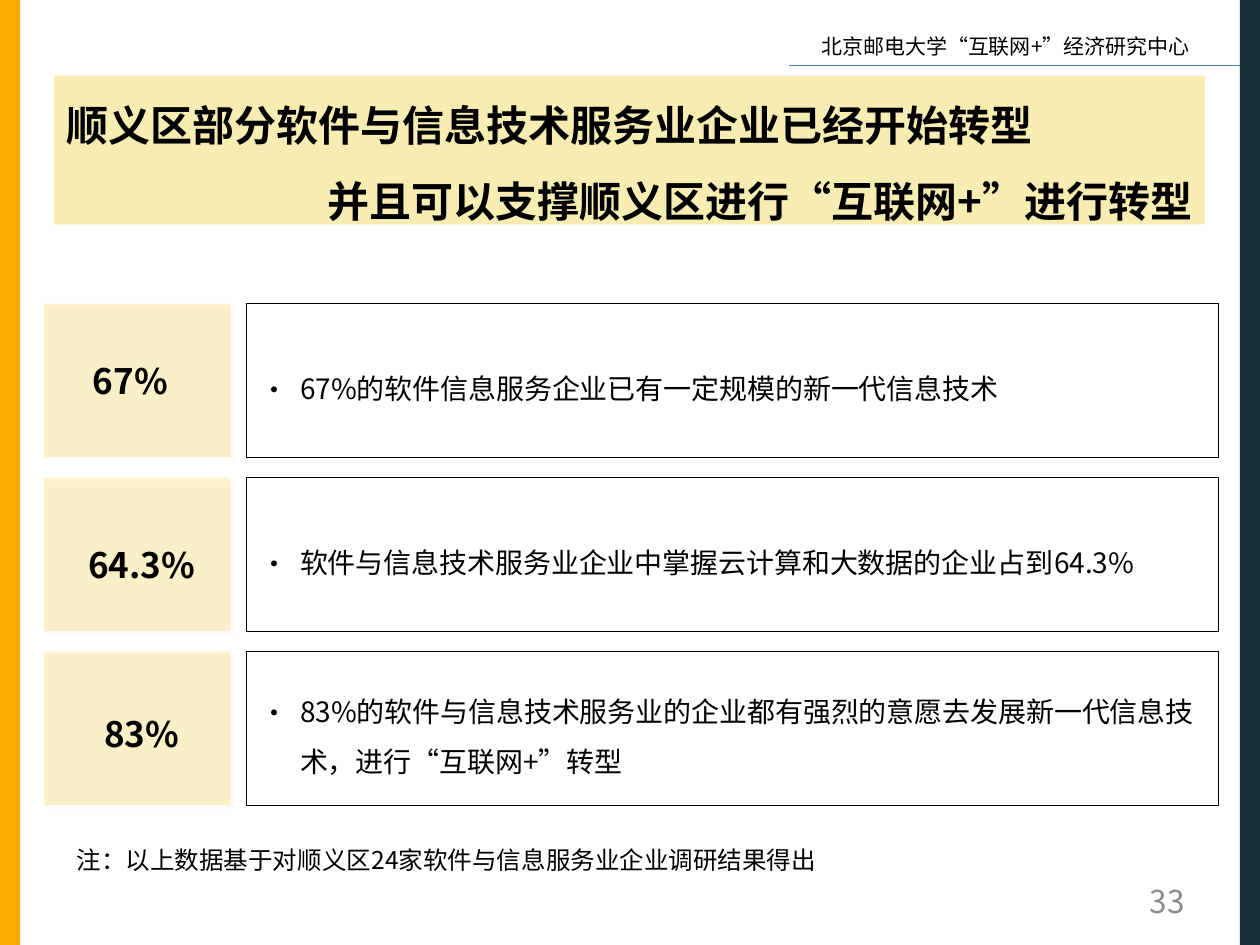
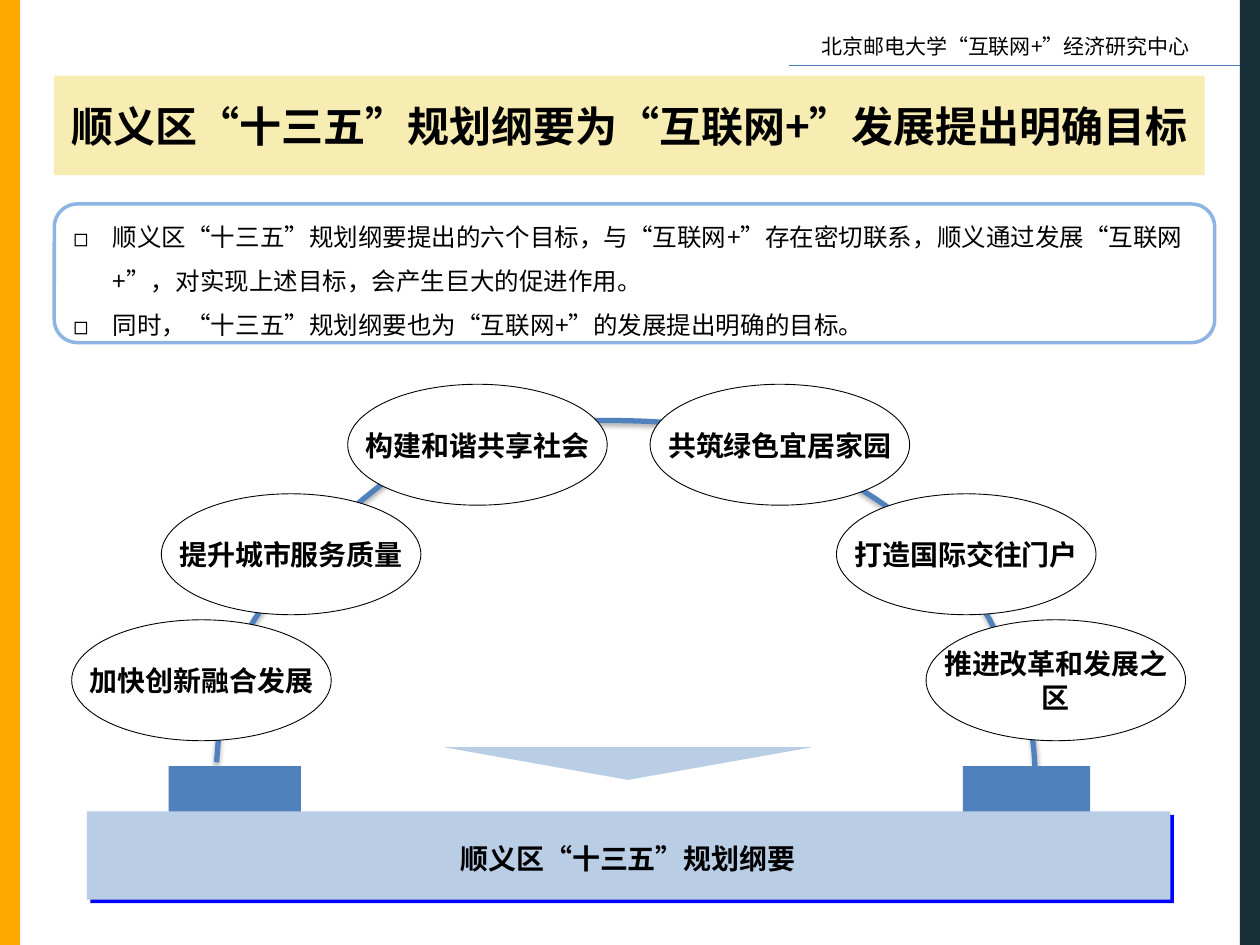
from dataclasses import dataclass
from typing import NamedTuple

from lxml.etree import SubElement
from pptx import Presentation
from pptx.dml.color import RGBColor
from pptx.enum.lang import MSO_LANGUAGE_ID
from pptx.enum.shapes import MSO_CONNECTOR, MSO_SHAPE
from pptx.enum.text import MSO_ANCHOR, PP_ALIGN
from pptx.oxml.ns import qn
from pptx.util import Pt


@dataclass(frozen=True)
class Theme:
    """Colours, face and type sizes of the deck."""
    face: str = "Noto Sans CJK SC"
    ink: str = "000000"
    white: str = "FFFFFF"
    amber: str = "FFAA00"
    dark: str = "172F37"
    rule: str = "4B7EBC"
    grey: str = "8C8C8C"
    title: str = "E9CD23"
    tile: str = "FFC000"
    blue: str = "4F81BD"
    pale: str = "B9CDE5"
    frame: str = "8EB4E3"
    head: int = 24
    figure: int = 20
    page: int = 18
    body: int = 16
    note: int = 14
    small: int = 12


class Box(NamedTuple):
    """Left, top, width and height in points."""
    left: float
    top: float
    width: float
    height: float


class Shade(NamedTuple):
    """Outer shadow: colour, percent, blur, distance and degrees."""
    color: str
    alpha: int
    blur: float
    dist: float
    angle: int


class Style(NamedTuple):
    """How a block of text is set."""
    size: int
    bold: bool = False
    color: str = Theme.ink
    align: PP_ALIGN = PP_ALIGN.LEFT
    space: float = 1.0
    bullet: str = ""


class Look(NamedTuple):
    """How a shape is filled, lined and shaded."""
    fill: str = ""
    alpha: int = 100
    line: str = ""
    width: float = 0.5
    shade: Shade | None = None


class Row(NamedTuple):
    """One finding with its figure and the place of that figure."""
    figure: str
    left: float
    top: float
    text: str


class Goal(NamedTuple):
    """A left goal and its mirrored right goal."""
    left: float
    top: float
    west: str
    east: str


T = Theme()
MID = PP_ALIGN.CENTER
HEAD = Style(T.head, True, align=MID)
LABEL = Style(T.body, True, align=MID)
FIGURE = Style(T.figure, True, align=MID)
POINT = Style(T.body, space=1.5, bullet="•")
LIST = Style(T.note, space=1.5, bullet="◻")
BAR = Look(T.title, 35)
GLOW = Shade("EEECE1", 100, 0, 2.8, 45)
DROP = Shade("0000FF", 100, 0, 2.8, 45)
SOFT = Shade("000000", 35, 3.1, 1.8, 90)

ROWS = [
    Row("67%", 36, 210.2, "67%的软件信息服务企业已有一定规模的新一代信息技术"),
    Row("64.3%", 42.5, 315.4, "软件与信息技术服务业企业中掌握云计算和大数据的企业占到64.3%"),
    Row("83%", 42.5, 411.8,
        "83%的软件与信息技术服务业的企业都有强烈的意愿去发展新一代信息技术，进行“互联网+”转型"),
]
GOALS = [
    Goal(41, 354.2, "加快创新融合发展", "推进改革和发展之区"),
    Goal(92.2, 282.2, "提升城市服务质量", "打造国际交往门户"),
    Goal(198.7, 219.6, "构建和谐共享社会", "共筑绿色宜居家园"),
]
ARC = [
    (123.8, 435.6), (126, 405.4), (128.9, 375.8), (151.2, 345.6),
    (174.2, 314.6), (216, 270), (259.2, 252.7), (303.1, 236.2),
    (373, 239), (413.3, 244.8), (452.9, 249.8), (476.6, 270),
    (500.4, 285.1), (524.2, 301), (541.4, 318.2), (555.8, 338.4),
    (570.2, 357.8), (579.6, 386.6), (586.1, 403.9), (591.8, 421.9),
    (591.1, 439.2), (591.8, 445), (592.6, 450.7), (591.1, 445.7),
    (589.7, 439.9),
]


def apply(target: object, **values: object) -> None:
    """Set each named value on the target."""
    for name, value in values.items():
        setattr(target, name, value)


def cast(shape, shade: Shade) -> None:
    """Give the shape an outer shadow."""
    effect = shape._element.spPr.find(qn("a:effectLst"))
    outer = SubElement(effect, qn("a:outerShdw"), blurRad=str(Pt(shade.blur)),
                       dist=str(Pt(shade.dist)), dir=str(shade.angle * 60000),
                       algn="ctr", rotWithShape="0")
    color = SubElement(outer, qn("a:srgbClr"), val=shade.color)
    SubElement(color, qn("a:alpha"), val=str(shade.alpha * 1000))


def paint(shape, look: Look) -> None:
    """Apply fill, line and shadow to a shape."""
    shape.shadow.inherit = False
    if look.fill:
        shape.fill.solid()
        shape.fill.fore_color.rgb = RGBColor.from_string(look.fill)
        if look.alpha < 100:
            color = shape._element.spPr.find(qn("a:solidFill"))[0]
            SubElement(color, qn("a:alpha"), val=str(look.alpha * 1000))
    else:
        shape.fill.background()
    if look.line:
        shape.line.color.rgb = RGBColor.from_string(look.line)
        shape.line.width = Pt(look.width)
    else:
        shape.line.fill.background()
    if look.shade:
        cast(shape, look.shade)


def draw(slide, box: Box, look: Look, kind=MSO_SHAPE.RECTANGLE):
    """Add a painted preset shape."""
    shape = slide.shapes.add_shape(kind, *map(Pt, box))
    paint(shape, look)
    return shape


def write(shape, style: Style, *lines: str, anchor=MSO_ANCHOR.MIDDLE) -> None:
    """Fill a shape with one paragraph for each line."""
    frame = shape.text_frame
    apply(frame, word_wrap=True, vertical_anchor=anchor)
    for index, line in enumerate(lines):
        para = frame.add_paragraph() if index else frame.paragraphs[0]
        apply(para, alignment=style.align, line_spacing=style.space)
        if style.bullet:
            props = para._p.get_or_add_pPr()
            apply_indent = {"marL": str(Pt(22.5)), "indent": str(-Pt(22.5))}
            props.attrib.update(apply_indent)
            SubElement(props, qn("a:buFont"), typeface=T.face)
            SubElement(props, qn("a:buChar"), char=style.bullet)
        run = para.add_run()
        run.text = line
        apply(run.font, size=Pt(style.size), bold=style.bold, name=T.face,
              language_id=MSO_LANGUAGE_ID.SIMPLIFIED_CHINESE)
        run.font.color.rgb = RGBColor.from_string(style.color)
        SubElement(run._r.rPr, qn("a:ea"), typeface=T.face)


def label(slide, box: Box, style: Style, text: str, tight: bool = True,
          anchor=MSO_ANCHOR.MIDDLE) -> None:
    """Add a text box, without margins when tight."""
    area = slide.shapes.add_textbox(*map(Pt, box))
    if tight:
        apply(area.text_frame, margin_left=0, margin_right=0,
              margin_top=0, margin_bottom=0)
    write(area, style, text, anchor=anchor)


def start(deck):
    """Add a slide with the shared bands and header."""
    slide = deck.slides.add_slide(deck.slide_layouts[6])
    for left, color in ((0, T.amber), (708.5, T.dark)):
        draw(slide, Box(left, 0, 11.5, 540), Look(color))
    label(slide, Box(462.2, 15.8, 236, 21.6), Style(T.small),
          "北京邮电大学“互联网+”经济研究中心", False, MSO_ANCHOR.TOP)
    rule = slide.shapes.add_connector(MSO_CONNECTOR.STRAIGHT, Pt(450.7),
                                      Pt(37.4), Pt(708.5), Pt(37.4))
    rule.line.color.rgb = RGBColor.from_string(T.rule)
    rule.line.width = Pt(0.75)
    SubElement(rule._element.spPr, qn("a:effectLst"))
    return slide


def banner(slide, height: float):
    """Add the title band."""
    return draw(slide, Box(31, 43.2, 657.4, height), BAR)


def findings(deck) -> None:
    """Build the slide of survey figures."""
    slide = start(deck)
    label(slide, Box(516.2, 500.4, 167.8, 28.8),
          Style(T.page, color=T.grey, align=PP_ALIGN.RIGHT), "33", False)
    for index, row in enumerate(ROWS):
        top = 173.5 + index * 99.4
        draw(slide, Box(25.2, top, 106.6, 87.8), Look(T.tile, 20, shade=GLOW))
        draw(slide, Box(141.1, top, 555.1, 87.8), Look(line=T.ink))
        label(slide, Box(row.left, row.top, 77, 14.4), FIGURE, row.figure)
        label(slide, Box(149, top + 35.5, 540, 16.6), POINT, row.text)
    title = banner(slide, 85)
    write(title, HEAD._replace(align=PP_ALIGN.LEFT, space=1.5),
          "顺义区部分软件与信息技术服务业企业已经开始转型",
          "并且可以支撑顺义区进行“互联网+”进行转型")
    title.text_frame.paragraphs[1].alignment = PP_ALIGN.RIGHT
    label(slide, Box(36.7, 479.5, 538.6, 24.5), Style(T.note),
          "注：以上数据基于对顺义区24家软件与信息服务业企业调研结果得出",
          False, MSO_ANCHOR.TOP)


def curve(knots: list, steps: int = 12) -> list:
    """Sample a chain of cubic curves as points."""
    points = [knots[0]]
    for index in range(0, len(knots) - 1, 3):
        group = knots[index:index + 4]
        for step in range(1, steps + 1):
            t = step / steps
            parts = ((1 - t) ** 3, 3 * t * (1 - t) ** 2, 3 * t * t * (1 - t), t ** 3)
            points.append(tuple(sum(part * knot[axis] for part, knot in zip(parts, group))
                                for axis in (0, 1)))
    return [(Pt(x), Pt(y)) for x, y in points]


def goals(deck) -> None:
    """Build the slide of six goals."""
    slide = start(deck)
    write(banner(slide, 56.9), HEAD, "顺义区“十三五”规划纲要为“互联网+”发展提出明确目标")
    first, *rest = curve(ARC)
    maker = slide.shapes.build_freeform(*first)
    maker.add_line_segments(rest, close=False)
    paint(maker.convert_to_shape(), Look(line=T.blue, width=3, shade=SOFT))
    arrow = draw(slide, Box(253.4, 427, 211, 18.7), Look(T.pale),
                 MSO_SHAPE.ISOSCELES_TRIANGLE)
    arrow._element.spPr.xfrm.set("flipV", "1")
    for goal in GOALS:
        for left, text in ((goal.left, goal.west), (570.2 - goal.left, goal.east)):
            draw(slide, Box(left, goal.top, 148.3, 69.1),
                 Look(T.white, line=T.ink), MSO_SHAPE.OVAL)
            label(slide, Box(left + 9.4, goal.top + 27.4, 129.6, 14.4), LABEL, text)
    for left, width in ((96.3, 75.6), (550.2, 72.8)):
        draw(slide, Box(left, 437.8, width, 28.8), Look(T.blue))
    draw(slide, Box(49.7, 463.7, 619.2, 50.4), Look(T.pale, shade=DROP))
    label(slide, Box(61.9, 483.1, 594, 14.4), LABEL, "顺义区“十三五”规划纲要")
    panel = draw(slide, Box(31, 116.6, 663.1, 79.2), Look(line=T.frame, width=2),
                 MSO_SHAPE.ROUNDED_RECTANGLE)
    write(panel, LIST,
          "顺义区“十三五”规划纲要提出的六个目标，与“互联网+”存在密切联系，"
          "顺义通过发展“互联网+”，对实现上述目标，会产生巨大的促进作用。",
          "同时，“十三五”规划纲要也为“互联网+”的发展提出明确的目标。")


def main() -> None:
    """Build and save the deck."""
    deck = Presentation()
    apply(deck, slide_width=Pt(720), slide_height=Pt(540))
    findings(deck)
    goals(deck)
    deck.save("out.pptx")


if __name__ == "__main__":
    main()
